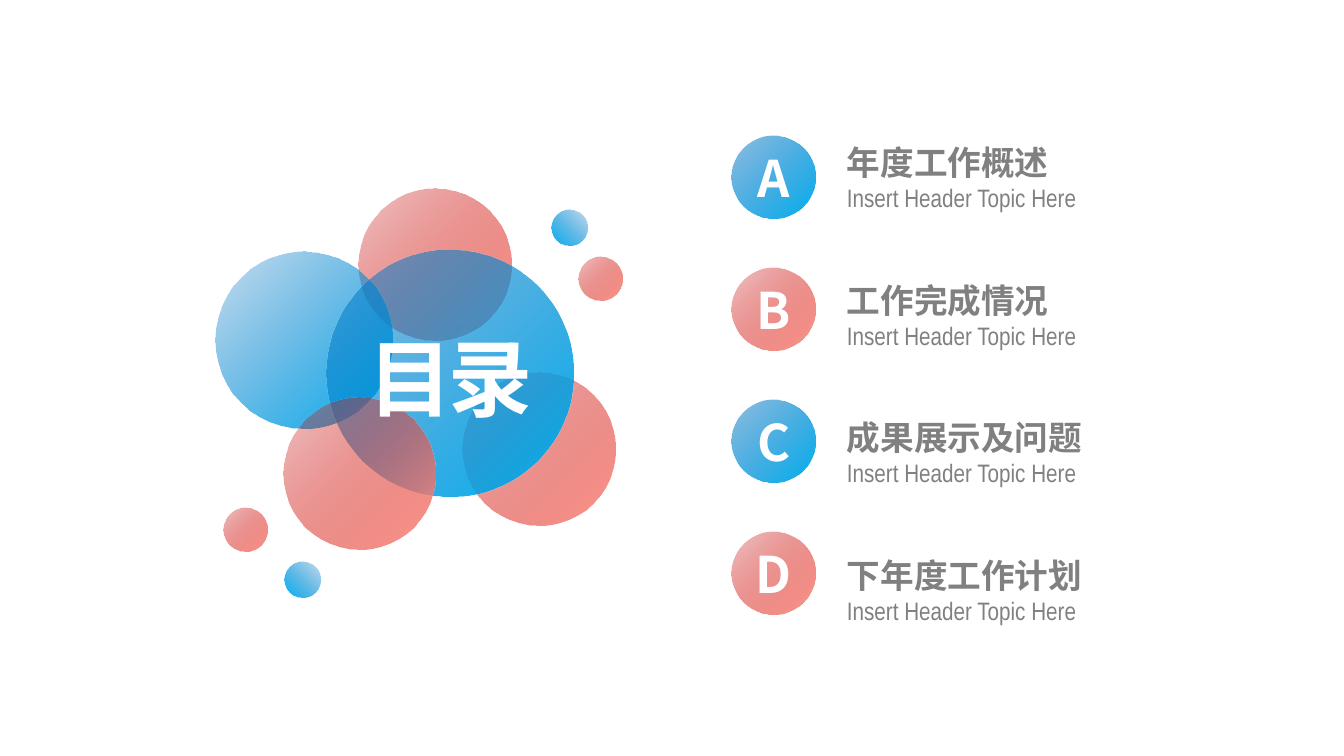
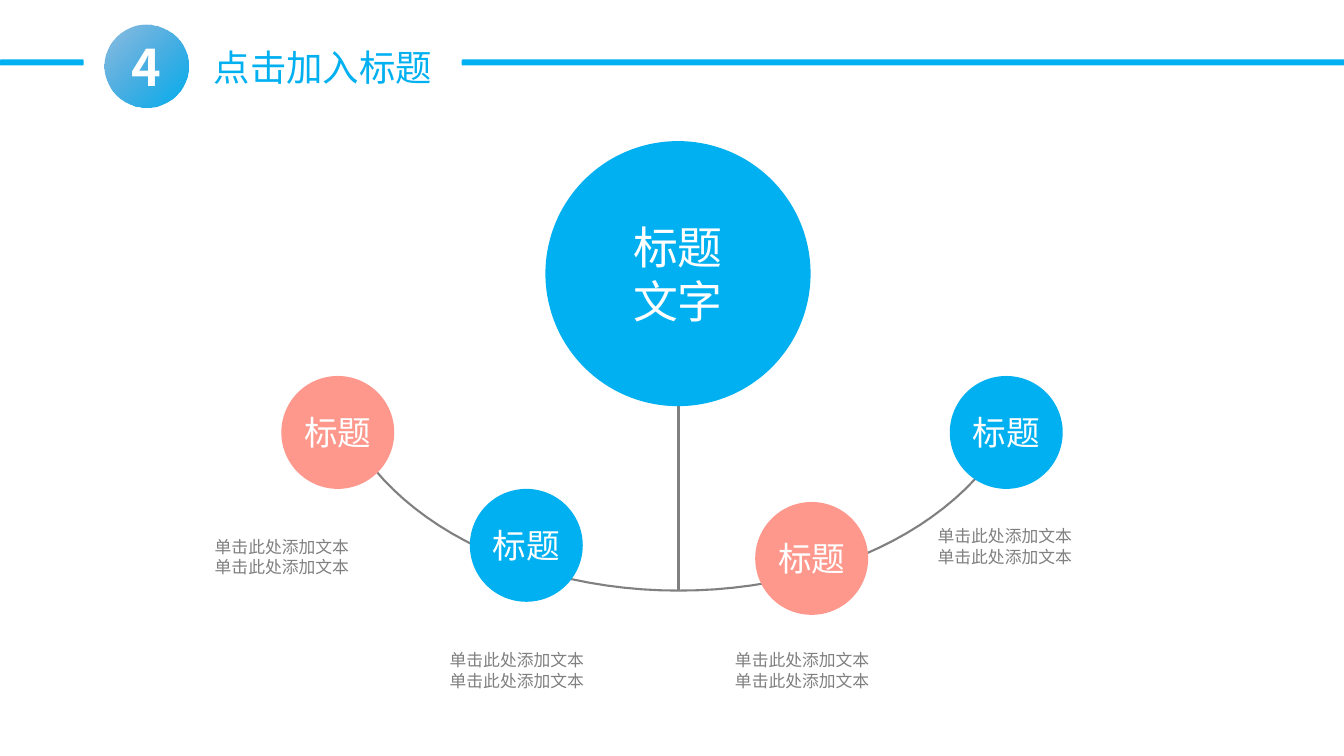
from lxml import etree
from pptx import Presentation
from pptx.dml.color import RGBColor
from pptx.enum.shapes import MSO_CONNECTOR, MSO_SHAPE
from pptx.enum.text import MSO_ANCHOR, PP_ALIGN
from pptx.oxml import parse_xml
from pptx.oxml.ns import nsdecls, qn
from pptx.util import Pt

PX = 9144  # one px is a hundredth of an inch
OVAL, BAR = MSO_SHAPE.OVAL, MSO_SHAPE.ROUNDED_RECTANGLE
STRAIGHT = MSO_CONNECTOR.STRAIGHT
LEFT, CENTER = PP_ALIGN.LEFT, PP_ALIGN.CENTER
TOP, MIDDLE = MSO_ANCHOR.TOP, MSO_ANCHOR.MIDDLE

CJK, NARROW = "Noto Sans CJK SC", "Arial Narrow"
BLUE, PINK, GREY, WHITE = "00B0F0", "FE978C", "808080", "FFFFFF"
PALE = {BLUE: "0070C0", PINK: "C00000"}  # start colour of each gradient
BADGE = 83
TITLE_ONLY = 5


def rgb(value):
    return RGBColor.from_string(value)


def emu(*lengths):
    return [round(length * PX) for length in lengths]


def cubic(p0, p1, p2, p3, steps=24):
    """Points along a cubic Bezier curve."""
    points = []
    for step in range(steps + 1):
        t = step / steps
        weights = ((1 - t) ** 3, 3 * t * (1 - t) ** 2, 3 * t * t * (1 - t), t ** 3)
        points.append(tuple(sum(w * p[axis] for w, p in zip(weights, (p0, p1, p2, p3)))
                            for axis in (0, 1)))
    return points


class Deck:
    """Shared style, and the slide being built."""

    def __init__(self, width, height):
        self.prs = Presentation()
        self.prs.slide_width, self.prs.slide_height = emu(width, height)

    def new_slide(self):
        self.slide = self.prs.slides.add_slide(self.prs.slide_layouts[TITLE_ONLY])
        self.shapes = self.slide.shapes

    def set_text(self, shape, lines, align=LEFT, anchor=TOP, insets=(10, 5, 10, 5), wrap=True):
        """Fill a shape with lines of (text, size, colour, font, bold, spacing)."""
        frame = shape.text_frame
        frame.word_wrap, frame.vertical_anchor = wrap, anchor
        (frame.margin_left, frame.margin_top,
         frame.margin_right, frame.margin_bottom) = emu(*insets)
        for index, (text, size, colour, face, bold, spacing) in enumerate(lines):
            para = frame.add_paragraph() if index else frame.paragraphs[0]
            para.alignment = align
            if face == CJK:
                para.line_spacing = Pt(size * 1.2)
            run = para.add_run()
            run.text = text
            font = run.font
            font.name, font.size, font.bold = face, Pt(size), bold
            font.color.rgb = rgb(colour)
            props = run._r.get_or_add_rPr()
            etree.SubElement(props, qn("a:ea")).set("typeface", face)
            if spacing:
                props.set("spc", str(spacing * 100))

    @staticmethod
    def line(text, size, colour, face=CJK, bold=False, spacing=0):
        return text, size, colour, face, bold, spacing

    def title(self, box, line, align=LEFT):
        heading = self.shapes.title
        heading.left, heading.top, heading.width, heading.height = emu(*box)
        self.set_text(heading, [line], align, wrap=False)
        # the title lies above everything drawn so far
        heading._element.getparent().append(heading._element)

    def text(self, box, lines, insets):
        self.set_text(self.shapes.add_textbox(*emu(*box)), lines, insets=insets)

    def shape(self, kind, box, colour):
        shape = self.shapes.add_shape(kind, *emu(*box))
        shape.shadow.inherit = False
        shape.fill.solid()
        shape.fill.fore_color.rgb = rgb(colour)
        shape.line.fill.background()
        return shape

    def bubble(self, x, y, size, colour, opacity=22, angle=45):
        """Circle with a gradient from a translucent to a solid colour."""
        circle = self.shape(OVAL, (x, y, size, size), colour)
        gradient = parse_xml(
            f'<a:gradFill {nsdecls("a")} rotWithShape="1"><a:gsLst>'
            f'<a:gs pos="0"><a:srgbClr val="{PALE[colour]}">'
            f'<a:alpha val="{opacity * 1000}"/></a:srgbClr></a:gs>'
            f'<a:gs pos="100000"><a:srgbClr val="{colour}"/></a:gs></a:gsLst>'
            f'<a:lin ang="{angle * 60000}" scaled="0"/></a:gradFill>')
        props = circle._element.spPr
        props.replace(props.find(qn("a:solidFill")), gradient)
        return circle

    def label(self, circle, lines):
        self.set_text(circle, lines, CENTER, MIDDLE, (0, 0, 0, 0), False)

    def badge(self, x, y, mark, colour):
        circle = self.bubble(x, y, BADGE, colour, 44 if colour == BLUE else 22)
        self.label(circle, [self.line(mark, 36, WHITE, bold=True, spacing=-3)])

    def node(self, x, y, diameter, colour, words, size):
        circle = self.shape(OVAL, (x, y, diameter, diameter), colour)
        self.label(circle, [self.line(word, size, WHITE) for word in words])

    def bar(self, x, y, width, height):
        self.shape(BAR, (x, y, width, height), BLUE)

    def stroke(self, drawn):
        drawn.line.color.rgb = rgb(GREY)
        drawn.line.width = Pt(1.5)

    def connector(self, x1, y1, x2, y2):
        link = self.shapes.add_connector(STRAIGHT, *emu(x1, y1, x2, y2))
        self.stroke(link)
        etree.SubElement(link._element.spPr, qn("a:effectLst"))

    def curve(self, points):
        start, *rest = [emu(*point) for point in points]
        builder = self.shapes.build_freeform(*start)
        builder.add_line_segments(rest, close=False)
        arc = builder.convert_to_shape()
        arc.shadow.inherit = False
        arc.fill.background()
        self.stroke(arc)


def contents(deck):
    deck.new_slide()
    topics = ["年度工作概述", "工作完成情况", "成果展示及问题", "下年度工作计划"]
    for index, topic in enumerate(topics):
        deck.text((840, 136 + round(136.7 * index), 434, 81),
                  [deck.line(topic, 24, GREY, bold=True),
                   deck.line("Insert Header Topic Here", 18, GREY, NARROW)],
                  (0, 5, 10, 5))
        deck.badge(726, 134 + 131 * index, "ABCD"[index], (BLUE, PINK)[index % 2])
    for x, y, size, colour, opacity, angle in [
            (356, 187, 151, PINK, 22, 45),
            (459, 370, 151, PINK, 22, 45),
            (214, 250, 175, BLUE, 22, 45),
            (324, 248, 245, BLUE, 44, 45),
            (547, 208, 36, BLUE, 22, 135),
            (574, 255, 43, PINK, 22, 45),
            (281, 394, 151, PINK, 22, 45),
            (282, 557, 36, BLUE, 22, 135),
            (222, 504, 43, PINK, 22, 45)]:
        deck.bubble(x, y, size, colour, opacity, angle)
    deck.title((327, 319, 240, 111),
               deck.line("目录", 60, WHITE, bold=True, spacing=-3), CENTER)


def topic_tree(deck):
    deck.new_slide()
    deck.title((202, 40, 239, 54), deck.line("点击加入标题", 26, BLUE))
    deck.bar(458, 59, 876, 6)
    deck.bar(0, 59, 83, 6)
    deck.badge(104, 24, "4", BLUE)

    right = cubic((998, 433), (948, 523), (821, 586), (673, 586))
    left = cubic((673, 586), (526, 586), (399, 523), (349, 433))
    deck.curve(right + left[1:])
    deck.connector(673, 403, 673, 586)
    deck.node(541, 140, 263, BLUE, ["标题", "文字"], 32)

    for x, y, colour, caption_x, caption_y in [
            (279, 373, PINK, 206, 528),
            (466, 485, BLUE, 439, 641),
            (749, 498, PINK, 722, 641),
            (942, 373, BLUE, 923, 518)]:
        deck.node(x, y, 112, colour, ["标题"], 24)
        deck.text((caption_x, caption_y, 246, 48),
                  [deck.line("单击此处添加文本", 12, GREY)] * 2, (7, 4, 7, 4))


def main():
    deck = Deck(1333, 750)
    contents(deck)
    topic_tree(deck)
    deck.prs.save("out.pptx")


if __name__ == "__main__":
    main()
